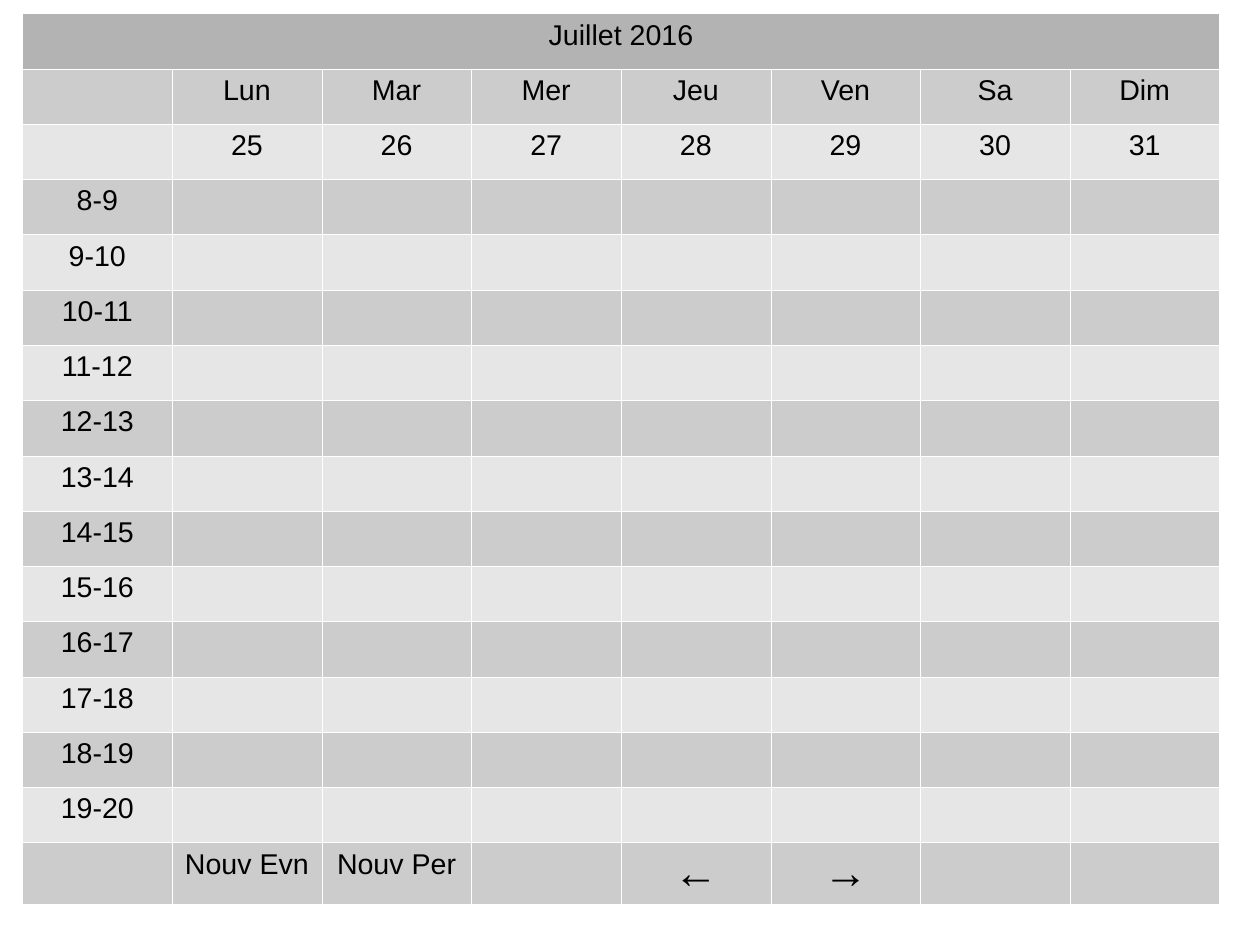
from lxml.etree import SubElement
from pptx import Presentation
from pptx.dml.color import RGBColor
from pptx.enum.text import PP_ALIGN as Align
from pptx.oxml.ns import qn
from pptx.util import Cm, Inches, Pt

# Colours
WHITE = RGBColor(0xFF, 0xFF, 0xFF)
BLACK = RGBColor(0x00, 0x00, 0x00)
TITLE_GREY = RGBColor(0xB3, 0xB3, 0xB3)
DARK_GREY = RGBColor(0xCC, 0xCC, 0xCC)
LIGHT_GREY = RGBColor(0xE6, 0xE6, 0xE6)

# Calendar content
MONTH = "Juillet 2016"
DAYS = ["Lun", "Mar", "Mer", "Jeu", "Ven", "Sa", "Dim"]
FIRST_DATE = 25
HOURS = range(8, 20)
ACTIONS = ["Nouv Evn", "Nouv Per", "", "←", "→", "", ""]
ARROWS = "←→"

# Slide and grid
SLIDE_WIDTH, SLIDE_HEIGHT = Cm(28), Cm(21)
LEFT, TOP = Cm(0.5), Cm(0.3)
WIDTH, HEIGHT = Cm(26.6), Cm(19.8)
ACTION_ROW_HEIGHT = Cm(1.37)
BORDER_WIDTH = Pt(0.06)


def calendar_rows():
    """Return the text of every row, from the month down to the actions."""
    dates = [str(FIRST_DATE + offset) for offset in range(len(DAYS))]
    empty_days = [""] * len(DAYS)
    hours = [[f"{hour}-{hour + 1}"] + empty_days for hour in HOURS]
    return [[MONTH] + empty_days, [""] + DAYS, [""] + dates, *hours, [""] + ACTIONS]


def write_text(cell, text, size=18, color=BLACK, font="Arial", align=Align.CENTER):
    paragraph = cell.text_frame.paragraphs[0]
    paragraph.alignment = align
    run = paragraph.add_run()
    run.text = text
    run.font.name = font
    run.font.size = Pt(size)
    run.font.color.rgb = color


def draw_borders(cell, color=WHITE):
    properties = cell._tc.get_or_add_tcPr()
    for side in ("a:lnL", "a:lnR", "a:lnT", "a:lnB"):
        line = SubElement(properties, qn(side), w=str(int(BORDER_WIDTH)))
        fill = SubElement(line, qn("a:solidFill"))
        SubElement(fill, qn("a:srgbClr"), val=str(color))


def format_cell(cell, fill_color):
    draw_borders(cell)
    cell.fill.solid()
    cell.fill.fore_color.rgb = fill_color
    cell.margin_left = cell.margin_right = Inches(0.1)
    cell.margin_top = cell.margin_bottom = Inches(0.05)


def row_color(row_index):
    if row_index == 0:
        return TITLE_GREY
    return DARK_GREY if row_index % 2 else LIGHT_GREY


def add_calendar(slide, rows):
    row_count, column_count = len(rows), len(rows[0])
    frame = slide.shapes.add_table(row_count, column_count, LEFT, TOP, WIDTH, HEIGHT)
    table = frame.table

    # Equal columns and rows, with a taller row for the actions
    for column in table.columns:
        column.width = WIDTH // column_count
    for row in table.rows:
        row.height = (HEIGHT - ACTION_ROW_HEIGHT) // (row_count - 1)
    table.rows[row_count - 1].height = ACTION_ROW_HEIGHT

    # Month across the full width
    table.cell(0, 0).merge(table.cell(0, column_count - 1))

    for row_index, texts in enumerate(rows):
        for column_index, text in enumerate(texts):
            cell = table.cell(row_index, column_index)
            format_cell(cell, row_color(row_index))
            if text:
                write_text(cell, text, size=28 if text in ARROWS else 18)


def main():
    presentation = Presentation()
    presentation.slide_width = SLIDE_WIDTH
    presentation.slide_height = SLIDE_HEIGHT
    blank_layout = presentation.slide_layouts[6]
    slide = presentation.slides.add_slide(blank_layout)
    add_calendar(slide, calendar_rows())
    presentation.save("out.pptx")


if __name__ == "__main__":
    main()
